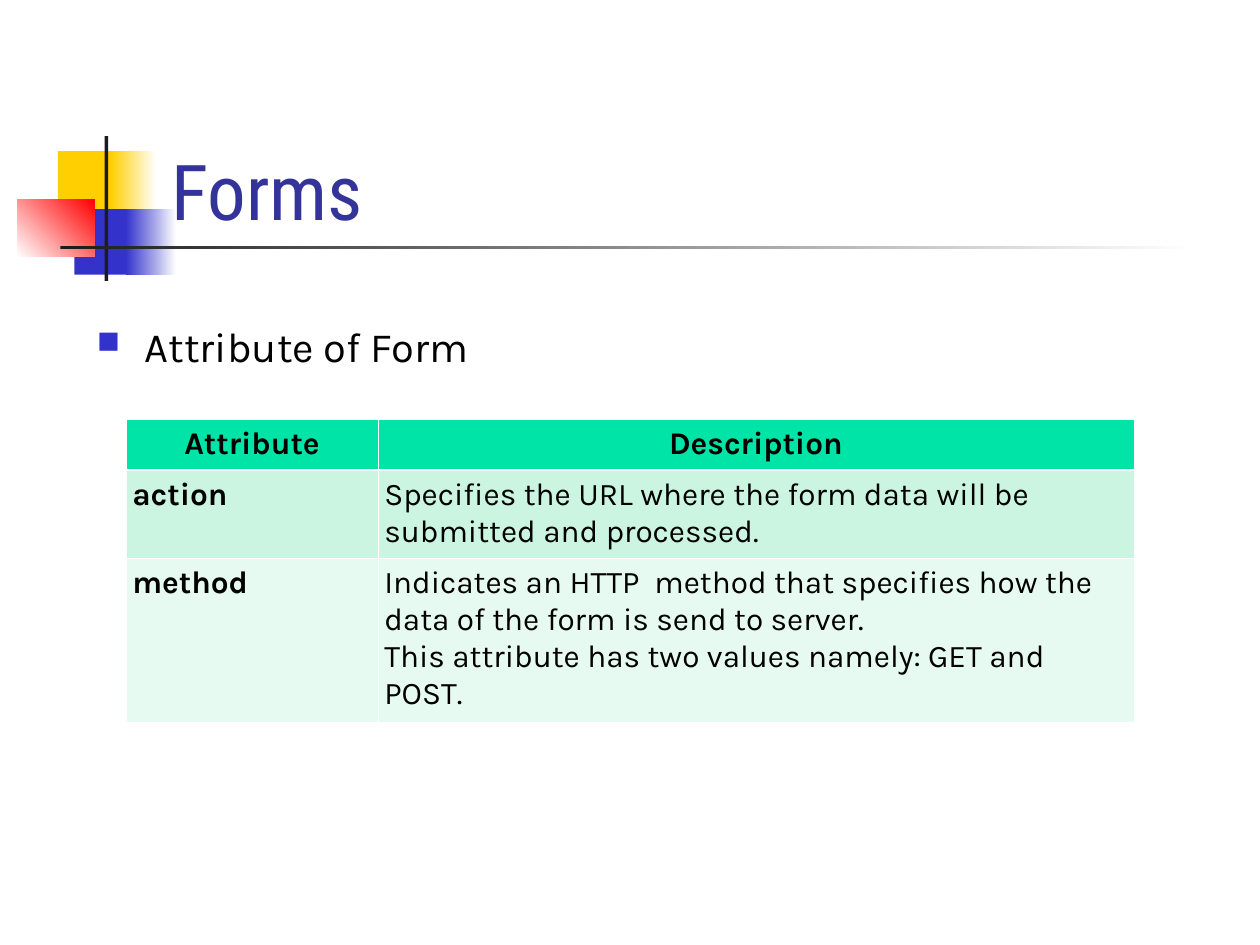
from dataclasses import dataclass

from lxml.etree import SubElement
from pptx import Presentation
from pptx.dml.color import RGBColor
from pptx.enum.shapes import MSO_SHAPE as Shape
from pptx.enum.text import MSO_ANCHOR as Anchor, PP_ALIGN as Align
from pptx.oxml.ns import qn
from pptx.util import Inches, Pt


@dataclass(frozen=True)
class Theme:
    heading_font: str = "Roboto Condensed"
    body_font: str = "Karla"
    title_size: float = 44
    bullet_size: float = 23.8
    table_size: float = 18
    title: str = "333399"
    text: str = "000000"
    white: str = "FFFFFF"
    yellow: str = "FFCF01"
    blue: str = "3333CC"
    red: str = "FF0000"
    dark: str = "1C1C1C"
    row_fills: tuple = ("00E4A8", "CBF5E1", "E7FAF1")
    thin_border: float = 0.45
    header_border: float = 1.47


THEME = Theme()

# Content
TITLE = "Forms"
BULLET = "Attribute of Form"
TABLE_ROWS = [
    ("Attribute", ["Description"]),
    ("action", ["Specifies the URL where the form data will be submitted and processed."]),
    ("method", [
        "Indicates an HTTP  method that specifies how the data of the form is send to server.",
        "This attribute has two values namely: GET and POST.",
    ]),
]
COLUMN_WIDTHS = [2, 6]
ROW_HEIGHTS = [0.4, 0.7, 1.3]

# Decoration: left, top, width, height, colours (two make a gradient), angle
DECORATION = [
    (0.46, 1.2, 0.48, 0.52, [THEME.yellow], 0),
    (0.88, 1.2, 0.36, 0.52, [THEME.yellow, THEME.white], 0),
    (0.59, 1.66, 0.46, 0.52, [THEME.blue], 0),
    (1, 1.66, 0.4, 0.52, [THEME.blue, THEME.white], 0),
    (0.14, 1.58, 0.61, 0.46, [THEME.white, THEME.red], 45),
    (0.83, 1.08, 0.03, 1.15, [THEME.dark], 0),
    (0.48, 1.95, 9, 0.03, [THEME.dark, THEME.white], 0),
]


def color(value):
    return RGBColor.from_string(value)


def add_run(paragraph, text, font, size, text_color, bold=False):
    run = paragraph.add_run()
    run.text = text
    run.font.name = font
    run.font.size = Pt(size)
    run.font.bold = bold
    run.font.color.rgb = color(text_color)


def add_block(slide, left, top, width, height, colors, angle):
    block = slide.shapes.add_shape(
        Shape.RECTANGLE, Inches(left), Inches(top), Inches(width), Inches(height))
    block.shadow.inherit = False
    block.line.fill.background()
    if len(colors) == 1:
        block.fill.solid()
        block.fill.fore_color.rgb = color(colors[0])
        return
    block.fill.gradient()
    block.fill.gradient_angle = angle
    for position, (stop, value) in enumerate(zip(block.fill.gradient_stops, colors)):
        stop.position = position
        stop.color.rgb = color(value)


def add_title(slide):
    title = slide.shapes.title
    slide.shapes.element.append(title.element)  # in front of the decoration
    title.left, title.top = Inches(1.26), Inches(0.67)
    title.width, title.height = Inches(8.52), Inches(1.25)
    title.text_frame.vertical_anchor = Anchor.BOTTOM
    paragraph = title.text_frame.paragraphs[0]
    paragraph.alignment = Align.LEFT
    add_run(paragraph, TITLE, THEME.heading_font, THEME.title_size, THEME.title)


def set_borders(cell, top, bottom):
    properties = cell._tc.get_or_add_tcPr()
    widths = {"L": THEME.thin_border, "R": THEME.thin_border, "T": top, "B": bottom}
    for side, width in widths.items():
        line = SubElement(properties, qn(f"a:ln{side}"), w=str(int(Pt(width))))
        fill = SubElement(line, qn("a:solidFill"))
        SubElement(fill, qn("a:srgbClr"), val=THEME.white)


def fill_cell(cell, texts, row, bold):
    set_borders(
        cell,
        top=THEME.header_border if row == 1 else THEME.thin_border,
        bottom=THEME.header_border if row == 0 else THEME.thin_border)
    cell.fill.solid()
    cell.fill.fore_color.rgb = color(THEME.row_fills[row])
    cell.margin_left = cell.margin_right = Inches(0.05)
    cell.margin_top = cell.margin_bottom = Inches(0.05)
    frame = cell.text_frame
    for index, text in enumerate(texts):
        paragraph = frame.add_paragraph() if index else frame.paragraphs[0]
        paragraph.alignment = Align.CENTER if row == 0 else Align.LEFT
        add_run(paragraph, text, THEME.body_font, THEME.table_size, THEME.text, bold)


def add_attribute_table(slide):
    table = slide.shapes.add_table(
        len(TABLE_ROWS), len(COLUMN_WIDTHS), Inches(1), Inches(3.33),
        Inches(sum(COLUMN_WIDTHS)), Inches(sum(ROW_HEIGHTS))).table
    for column, width in zip(table.columns, COLUMN_WIDTHS):
        column.width = Inches(width)
    for row, (name, description) in enumerate(TABLE_ROWS):
        table.rows[row].height = Inches(ROW_HEIGHTS[row])
        fill_cell(table.cell(row, 0), [name], row, bold=True)
        fill_cell(table.cell(row, 1), description, row, bold=row == 0)


def add_bullet(slide):
    box = slide.shapes.add_textbox(Inches(0.67), Inches(2.5), Inches(8.33), Inches(0.5))
    box.text_frame.word_wrap = True
    paragraph = box.text_frame.paragraphs[0]
    paragraph.space_before = Pt(7)
    properties = paragraph._p.get_or_add_pPr()
    properties.set("marL", str(Inches(0.38)))
    properties.set("indent", str(-Inches(0.38)))
    bullet_color = SubElement(properties, qn("a:buClr"))
    SubElement(bullet_color, qn("a:srgbClr"), val=THEME.blue)
    SubElement(properties, qn("a:buSzPct"), val="75000")
    SubElement(properties, qn("a:buChar"), char="■")
    add_run(paragraph, BULLET, THEME.body_font, THEME.bullet_size, THEME.text)


def main():
    presentation = Presentation()
    presentation.slide_width, presentation.slide_height = Inches(10), Inches(7.5)
    slide = presentation.slides.add_slide(presentation.slide_layouts[5])
    for block in DECORATION:
        add_block(slide, *block)
    add_title(slide)
    add_attribute_table(slide)
    add_bullet(slide)
    presentation.save("out.pptx")


if __name__ == "__main__":
    main()
